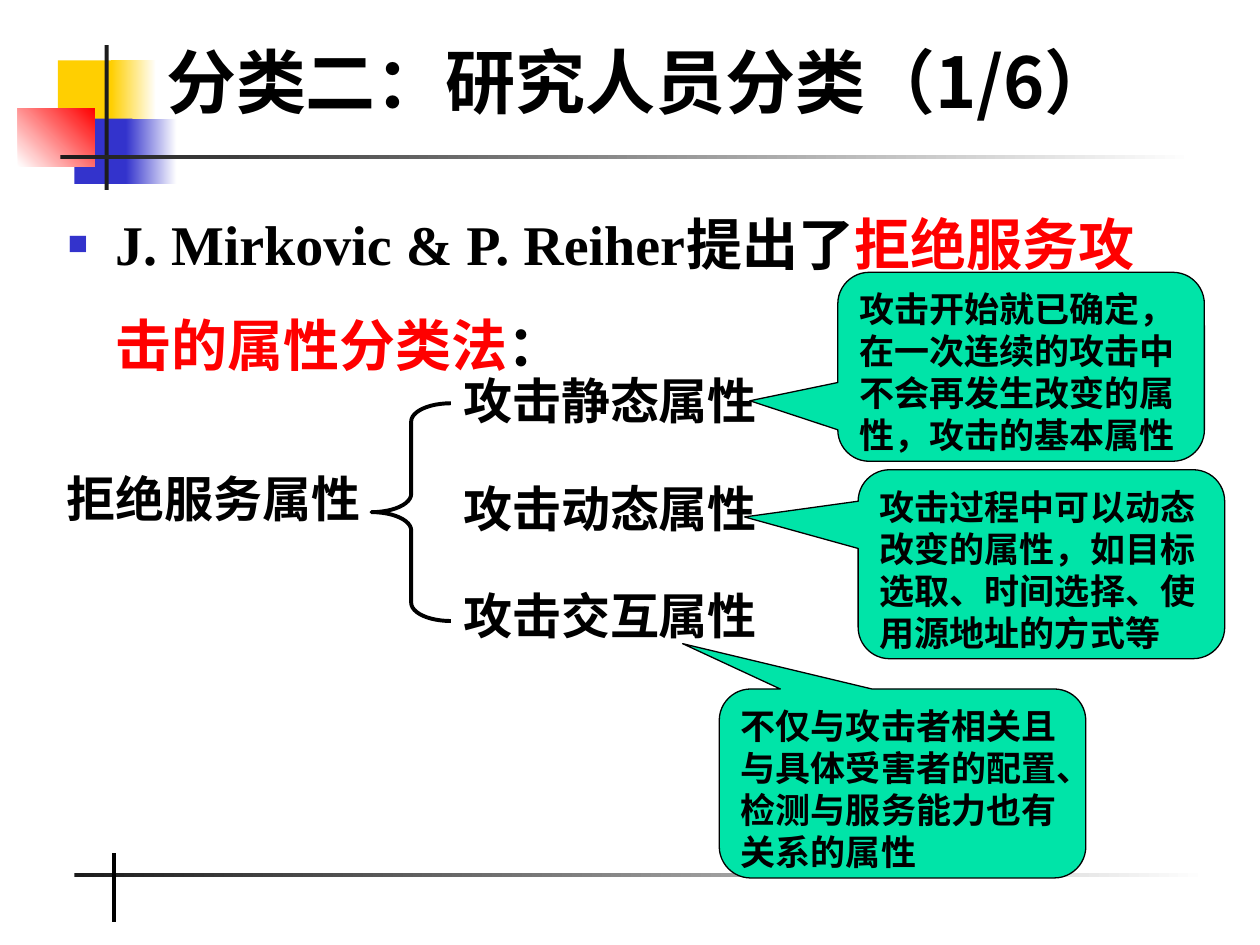
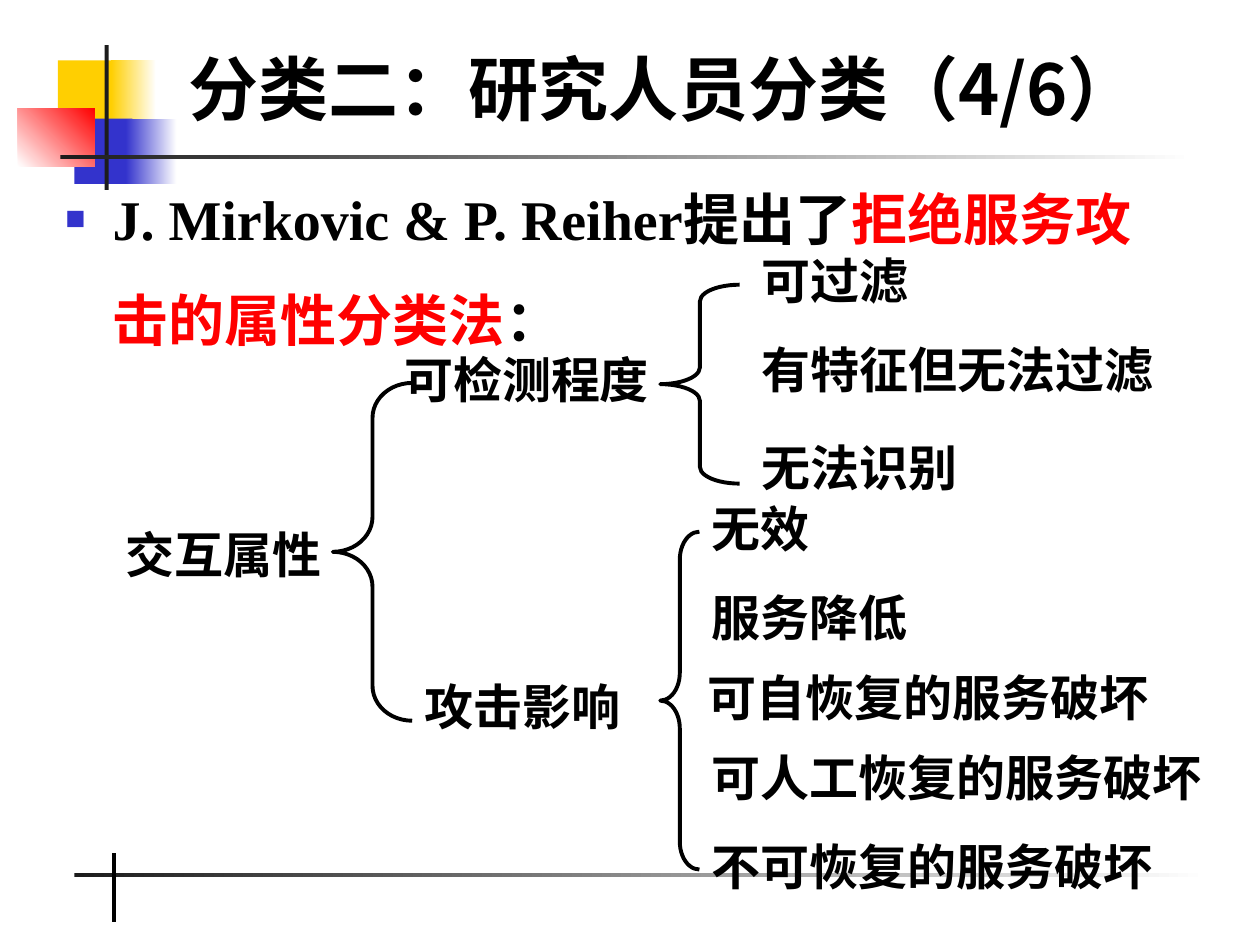
"""Build two slides on the attribute taxonomy of denial-of-service attacks."""
from lxml.etree import SubElement
from pptx import Presentation
from pptx.dml.color import RGBColor
from pptx.enum.shapes import MSO_CONNECTOR, MSO_SHAPE as Shape
from pptx.enum.text import MSO_ANCHOR as Anchor
from pptx.oxml.ns import qn
from pptx.util import Cm, Pt

BLACK = RGBColor(0x00, 0x00, 0x00)
WHITE = RGBColor(0xFF, 0xFF, 0xFF)
CHARCOAL = RGBColor(0x1C, 0x1C, 0x1C)
YELLOW = RGBColor(0xFF, 0xCF, 0x01)
BLUE = RGBColor(0x33, 0x33, 0xCC)
RED = RGBColor(0xFF, 0x00, 0x00)
MINT = RGBColor(0x00, 0xE4, 0xA8)
SANS = "Noto Sans CJK SC"
SERIF = "Times New Roman"

DECOR = [
    (1.17, 1.22, 1.22, 1.32, [YELLOW], 0),
    (2.24, 1.22, 0.91, 1.32, [YELLOW, WHITE], 0),
    (1.5, 2.39, 1.17, 1.32, [BLUE], 0),
    (2.54, 2.39, 1.02, 1.32, [BLUE, WHITE], 0),
    (0.36, 2.18, 1.55, 1.17, [WHITE, RED], 45),
    (2.11, 0.91, 0.08, 2.92, [CHARCOAL], 0),
    (1.22, 3.12, 22.86, 0.08, [CHARCOAL, WHITE], 0),
    (1.5, 17.6, 22.86, 0.08, [CHARCOAL, WHITE], 0),
]
PAGES = [
    {
        "title": ("分类二：研究人员分类（1/6）", 3.1, 0.51),
        "body": (1.12, 3.43, 5.56),
        "braces": [(7.49, 8.13, 1.6, 4.39, 0.23)],
        "labels": [
            ("拒绝服务属性", 1.09, 9.32),
            ("攻击静态属性", 9.09, 7.34),
            ("攻击动态属性", 9.09, 9.52),
            ("攻击交互属性", 9.09, 11.68),
        ],
        "callouts": [
            ("攻击开始就已确定，在一次连续的攻击中不会再发生改变的属性，攻击的基本属性",
             16.89, 5.49, -0.74, 0.18),
            ("攻击过程中可以动态改变的属性，如目标选取、时间选择、使用源地址的方式等",
             17.3, 9.47, -0.81, -0.25),
            ("不仅与攻击者相关且与具体受害者的配置、检测与服务能力也有关系的属性",
             14.5, 13.89, -0.6, -0.74),
        ],
    },
    {
        "title": ("分类二：研究人员分类（4/6）", 3.56, 0.66),
        "body": (1.07, 2.92, 3.56),
        "braces": [
            (6.71, 7.72, 1.6, 6.81, 0.44),
            (13.31, 5.74, 1.6, 4.01, 0.21),
            (13.31, 10.72, 0.79, 6.81, 0.71),
        ],
        "labels": [
            ("交互属性", 2.28, 10.46),
            ("可检测程度", 7.9, 6.93),
            ("攻击影响", 8.31, 13.51),
            ("可过滤", 15.11, 4.93),
            ("有特征但无法过滤", 15.11, 6.73),
            ("无法识别", 15.11, 8.69),
            ("无效", 14.1, 9.93),
            ("服务降低", 14.1, 11.73),
            ("可自恢复的服务破坏", 14.02, 13.34),
            ("可人工恢复的服务破坏", 14.1, 14.94),
            ("不可恢复的服务破坏", 14.1, 16.74),
        ],
        "callouts": [],
    },
]


def style_paragraph(para, size, latin=SANS, spacing=1.2):
    para.line_spacing = Pt(size * spacing)
    para.font.size = Pt(size)
    para.font.bold = True
    para.font.color.rgb = BLACK
    para.font.name = latin
    SubElement(para.font._element, qn("a:ea"), typeface=SANS)


def add_text(page, text, left, top, width, height, size, wrap=True):
    box = page.shapes.add_textbox(Cm(left), Cm(top), Cm(width), Cm(height))
    box.text_frame.word_wrap = wrap
    para = box.text_frame.paragraphs[0]
    para.text = text
    style_paragraph(para, size)
    return box


deck = Presentation()
deck.slide_width, deck.slide_height = Cm(25.4), Cm(19.05)

for content in PAGES:
    page = deck.slides.add_slide(deck.slide_layouts[6])

    for left, top, width, height, colours, angle in DECOR:
        block = page.shapes.add_shape(Shape.RECTANGLE, Cm(left), Cm(top), Cm(width), Cm(height))
        block.shadow.inherit = False
        block.line.fill.background()
        if len(colours) == 1:
            block.fill.solid()
            block.fill.fore_color.rgb = colours[0]
        else:
            block.fill.gradient()
            block.fill.gradient_angle = angle
            for stop, colour in zip(block.fill.gradient_stops, colours):
                stop.color.rgb = colour

    tick = page.shapes.add_connector(MSO_CONNECTOR.STRAIGHT, Cm(2.29), Cm(17.2), Cm(2.29), Cm(18.59))
    tick.line.color.rgb = BLACK
    tick.line.width = Pt(2.25)
    SubElement(tick._element.spPr, qn("a:effectLst"))

    title, left, top = content["title"]
    title_box = add_text(page, title, left, top, 20.24, 2.21, 40)
    title_box.text_frame.vertical_anchor = Anchor.MIDDLE

    left, top, height = content["body"]
    body = page.shapes.add_textbox(Cm(left), Cm(top), Cm(22.86), Cm(height))
    body.text_frame.word_wrap = True
    para = body.text_frame.paragraphs[0]
    for text, colour in [("J. Mirkovic & P. Reiher提出了", BLACK),
                         ("拒绝服务攻击的属性分类法", RED), ("：", BLACK)]:
        span = para.add_run()
        span.text = text
        span.font.color.rgb = colour
    props = para._p.get_or_add_pPr()
    props.set("marL", str(Cm(0.95)))
    props.set("indent", str(-Cm(0.95)))
    bullet_colour = SubElement(props, qn("a:buClr"))
    SubElement(bullet_colour, qn("a:srgbClr"), val=str(BLUE))
    SubElement(props, qn("a:buSzPct"), val="60000")
    SubElement(props, qn("a:buFont"), typeface=SERIF)
    SubElement(props, qn("a:buChar"), char="■")
    style_paragraph(para, 32, SERIF, 1.8)

    for left, top, width, height, curl in content["braces"]:
        brace = page.shapes.add_shape(Shape.LEFT_BRACE, Cm(left), Cm(top), Cm(width), Cm(height))
        brace.shadow.inherit = False
        brace.adjustments[0] = curl
        brace.fill.background()
        brace.line.color.rgb = BLACK
        brace.line.width = Pt(2.25)

    for text, left, top in content["labels"]:
        add_text(page, text, left, top, 0.51 + len(text) * 0.99, 1.45, 28, wrap=False)

    for text, left, top, tip_x, tip_y in content["callouts"]:
        callout = page.shapes.add_shape(Shape.ROUNDED_RECTANGULAR_CALLOUT,
                                        Cm(left), Cm(top), Cm(7.39), Cm(3.81))
        callout.shadow.inherit = False
        callout.adjustments[0] = tip_x
        callout.adjustments[1] = tip_y
        callout.fill.solid()
        callout.fill.fore_color.rgb = MINT
        callout.line.color.rgb = BLACK
        callout.line.width = Pt(0.75)
        callout.text_frame.word_wrap = True
        callout.text_frame.vertical_anchor = Anchor.TOP
        para = callout.text_frame.paragraphs[0]
        para.text = text
        para.alignment = 1
        style_paragraph(para, 20)

deck.save("out.pptx")
